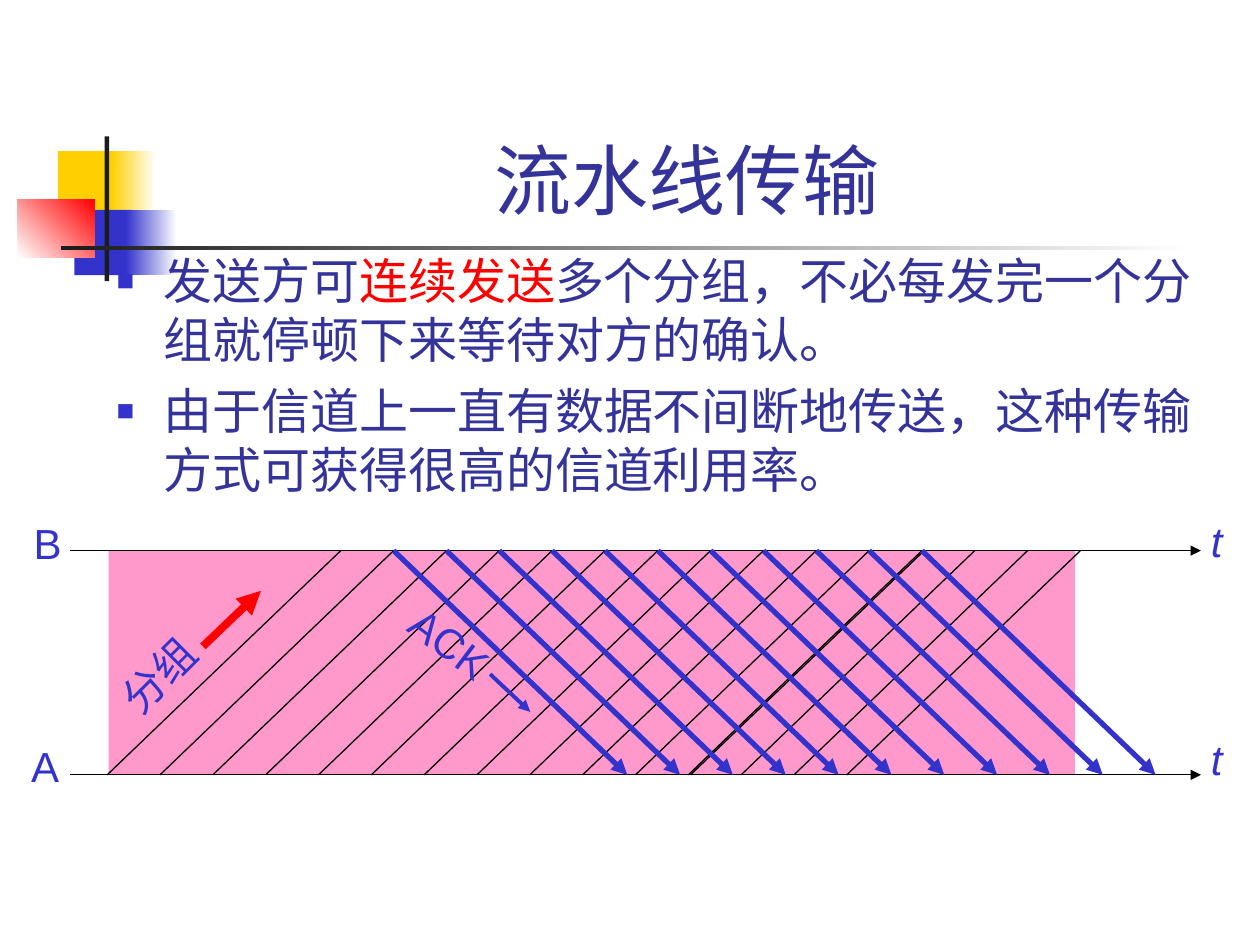
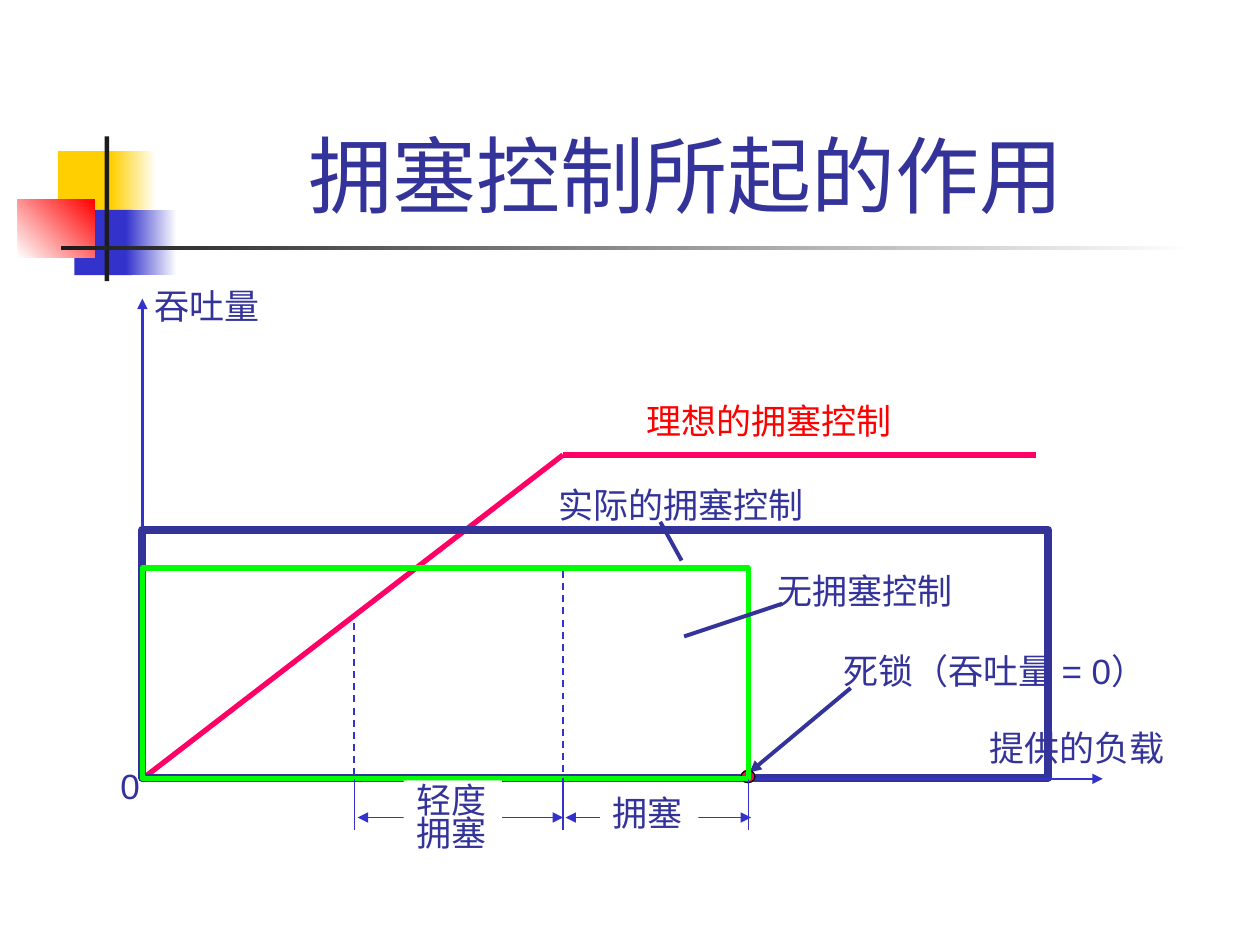
from lxml import etree
from pptx import Presentation
from pptx.dml.color import RGBColor
from pptx.enum import dml, shapes, text
from pptx.oxml.ns import qn
from pptx.util import Cm, Pt

rgb = RGBColor.from_string
FONT = "Arial"
NAVY, BLUE, RED, ROSE = "333399", "3333CC", "FF0000", "FF0066"
GOLD, DARK, WHITE, BLACK = "FFCF01", "1C1C1C", "FFFFFF", "000000"
RECT, OVAL = shapes.MSO_SHAPE.RECTANGLE, shapes.MSO_SHAPE.OVAL


def put(page, at, words="", size=20, ink=NAVY, kind=None, fill=None, edge=None, thick=1):
    at = [Cm(n) for n in at]
    if kind:
        item = page.shapes.add_shape(kind, *at)
        item.shadow.inherit = False
    else:
        item = page.shapes.add_textbox(*at)
    if fill:
        item.fill.solid()
        item.fill.fore_color.rgb = rgb(fill)
    else:
        item.fill.background()
    if edge:
        item.line.color.rgb = rgb(edge)
        item.line.width = Pt(thick)
    else:
        item.line.fill.background()
    if words:
        frame = item.text_frame
        frame.word_wrap = False
        frame.auto_size = text.MSO_AUTO_SIZE.SHAPE_TO_FIT_TEXT
        frame.text = words
        for para in frame.paragraphs:
            para.font.name = FONT
            para.font.size = Pt(size)
            para.font.color.rgb = rgb(ink)
    return item


def link(page, ends, ink=BLACK, thick=0.75, tips=(), dash=False):
    item = page.shapes.add_connector(shapes.MSO_CONNECTOR.STRAIGHT, *[Cm(n) for n in ends])
    item.line.color.rgb = rgb(ink)
    item.line.width = Pt(thick)
    if dash:
        item.line.dash_style = dml.MSO_LINE.DASH
    props = item.element.spPr
    for tip in tips:
        etree.SubElement(props.find(qn("a:ln")), qn(f"a:{tip}End"), type="triangle")
    etree.SubElement(props, qn("a:effectLst"))


deck = Presentation()
deck.slide_width, deck.slide_height = Cm(25.4), Cm(19.05)

marks = [
    ((1.17, 3.05, 1.22, 1.32), GOLD, None, 0),
    ((2.24, 3.05, 0.91, 1.32), GOLD, WHITE, 0),
    ((1.5, 4.23, 1.17, 1.32), BLUE, None, 0),
    ((2.54, 4.23, 1.02, 1.32), BLUE, WHITE, 0),
    ((0.36, 4.02, 1.55, 1.17), WHITE, RED, 45),
    ((2.11, 2.75, 0.09, 2.92), DARK, None, 0),
    ((1.23, 4.95, 22.86, 0.09), DARK, WHITE, 0),
]
pages = []
for title, size in [("流水线传输 ", 44), ("拥塞控制所起的作用 ", 48)]:
    page = deck.slides.add_slide(deck.slide_layouts[6])
    pages.append(page)
    for at, near, far, angle in marks:
        mark = put(page, at, kind=RECT, fill=near)
        if far:
            mark.fill.gradient()
            mark.fill.gradient_angle = angle
            for stop, tone in zip(mark.fill.gradient_stops, (near, far)):
                stop.color.rgb = rgb(tone)
    head = put(page, (3.2, 0.59, 21.64, 4.06), title, size)
    head.text_frame.word_wrap = True
    head.text_frame.auto_size = text.MSO_AUTO_SIZE.NONE
    head.text_frame.vertical_anchor = text.MSO_ANCHOR.BOTTOM
    head.text_frame.paragraphs[0].alignment = text.PP_ALIGN.CENTER
pipe, load = pages

points = [
    [("发送方可", NAVY), ("连续发送", RED), ("多个分组，不必每发完一个分组就停顿下来等待对方的确认。", NAVY)],
    [("由于信道上一直有数据不间断地传送，这种传输方式可获得很高的信道利用率。", NAVY)],
]
body = pipe.shapes.add_textbox(Cm(2.1), Cm(4.93), Cm(22.38), Cm(5.79)).text_frame
body.word_wrap = True
for row, parts in enumerate(points):
    para = body.add_paragraph() if row else body.paragraphs[0]
    props = para._p.get_or_add_pPr()
    props.set("marL", str(Cm(0.95)))
    props.set("indent", str(-Cm(0.95)))
    tint = etree.SubElement(props, qn("a:buClr"))
    etree.SubElement(tint, qn("a:srgbClr"), val=BLUE)
    etree.SubElement(props, qn("a:buSzPct"), val="60000")
    etree.SubElement(props, qn("a:buFont"), typeface=FONT)
    etree.SubElement(props, qn("a:buChar"), char="■")
    if row:
        para.space_before = Pt(7)
    para.font.name = FONT
    para.font.size = Pt(28)
    for words, ink in parts:
        run = para.add_run()
        run.text = words
        run.font.color.rgb = rgb(ink)

top, base = 11.1, 15.62
first, slant, step = 2.16, 4.71, 14.91 / 14
put(pipe, (2.19, top, 19.48, base - top), kind=RECT, fill="FF99CC")
for y in (base, top):
    link(pipe, (1.42, y, 24.21, y), tips=["tail"])
for x in [first + step * n for n in range(15)] + [13.92]:
    link(pipe, (x, base, x + slant, top))
for n in range(11):
    x = first + slant + step * (n + 1)
    link(pipe, (x, top, x + slant, base), BLUE, 3, ["tail"])
link(pipe, (4.09, 13.03, 5.26, 11.91), RED, 4.5, ["tail"])
link(pipe, (9.88, 13.59, 10.69, 14.35), BLUE, 2.25, ["tail"])
for words, x, y, wide, turn in [
    ("B", 0.43, 10.31, 1.07, 0),
    ("A", 0.38, 14.81, 1.07, 0),
    ("t", 24.16, 10.26, 0.74, 0),
    ("t", 24.16, 14.66, 0.74, 0),
    ("分组", 2.08, 12.93, 2.3, 315),
    ("ACK", 7.95, 12.32, 2.24, 37),
]:
    tag = put(pipe, (x, y, wide, 1.27), words, 24, BLUE)
    tag.rotation = turn
    if words == "t":
        tag.text_frame.paragraphs[0].font.italic = True

left, floor, tall = 2.87, 15.7, 1.12
mild, heavy, dead = 7.14, 11.35, 15.09
peak, span, foot = 9.17, 16.48, 16.74
link(load, (left, floor, left, 6.02), BLUE, 1.5, ["tail"])
put(load, (19.69, 14.53, 4.1, tall), "提供的负载")
put(load, (left, 5.61, 2.7, tall), "吞吐量")
link(load, (left, floor, heavy, peak), ROSE, 3)
link(load, (heavy, peak, 20.88, peak), ROSE, 3)
put(load, (12.78, 7.92, 5.5, tall), "理想的拥塞控制", ink=RED)

put(load, (left, 10.68, 18.26, 5), kind=RECT, edge=NAVY, thick=4.5)
put(load, (11.0, 9.63, 5.5, tall), "实际的拥塞控制")
link(load, (13.31, 10.52, 13.74, 11.3), NAVY, 2.25)
link(load, (left, floor, 22.23, floor), BLUE, 1.5, ["tail"])
put(load, (2.18, 15.29, 0.89, tall), "0")

put(load, (16.75, 12.96, 6.96, tall), "死锁（吞吐量 = 0）")
link(load, (17.15, 13.87, 15.11, 15.57), NAVY, 2.25, ["tail"])
put(load, (14.94, 15.53, 0.28, 0.25), kind=OVAL, fill=ROSE, edge=BLACK, thick=0.75)

for start, end in [(heavy + 0.05, dead + 0.05), (mild + 0.07, heavy)]:
    link(load, (start, span, end, span), BLUE, 0.75, ["head", "tail"])
put(load, (left, 11.45, dead - left, 4.25), kind=RECT, edge="00FF00", thick=3)
for x, y in [(heavy, 11.51), (mild, 12.55)]:
    link(load, (x, y, x, floor), BLUE, 1, dash=True)
put(load, (15.42, 11.36, 4.1, tall), "无拥塞控制")
link(load, (15.77, 12.17, 13.79, 12.83), NAVY, 2.25)
for x in (mild, heavy, dead):
    link(load, (x, floor, x, foot), BLUE)
put(load, (12.1, 15.83, 1.98, tall), "拥塞", fill=WHITE)
light = put(load, (8.14, 15.73, 1.98, 1.63), "轻度\n拥塞", fill=WHITE)
for para in light.text_frame.paragraphs:
    para.line_spacing = 0.8

deck.save("out.pptx")
